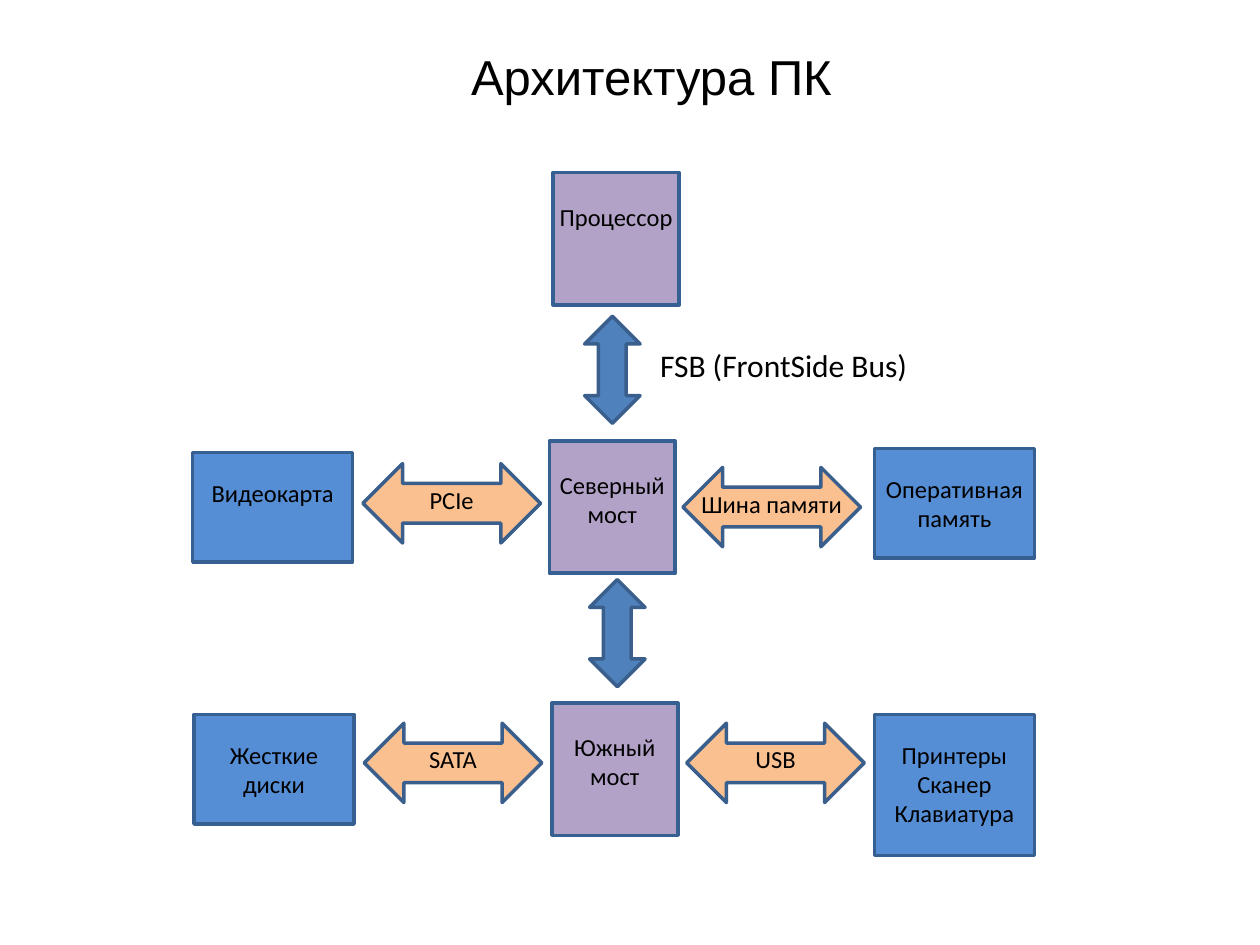
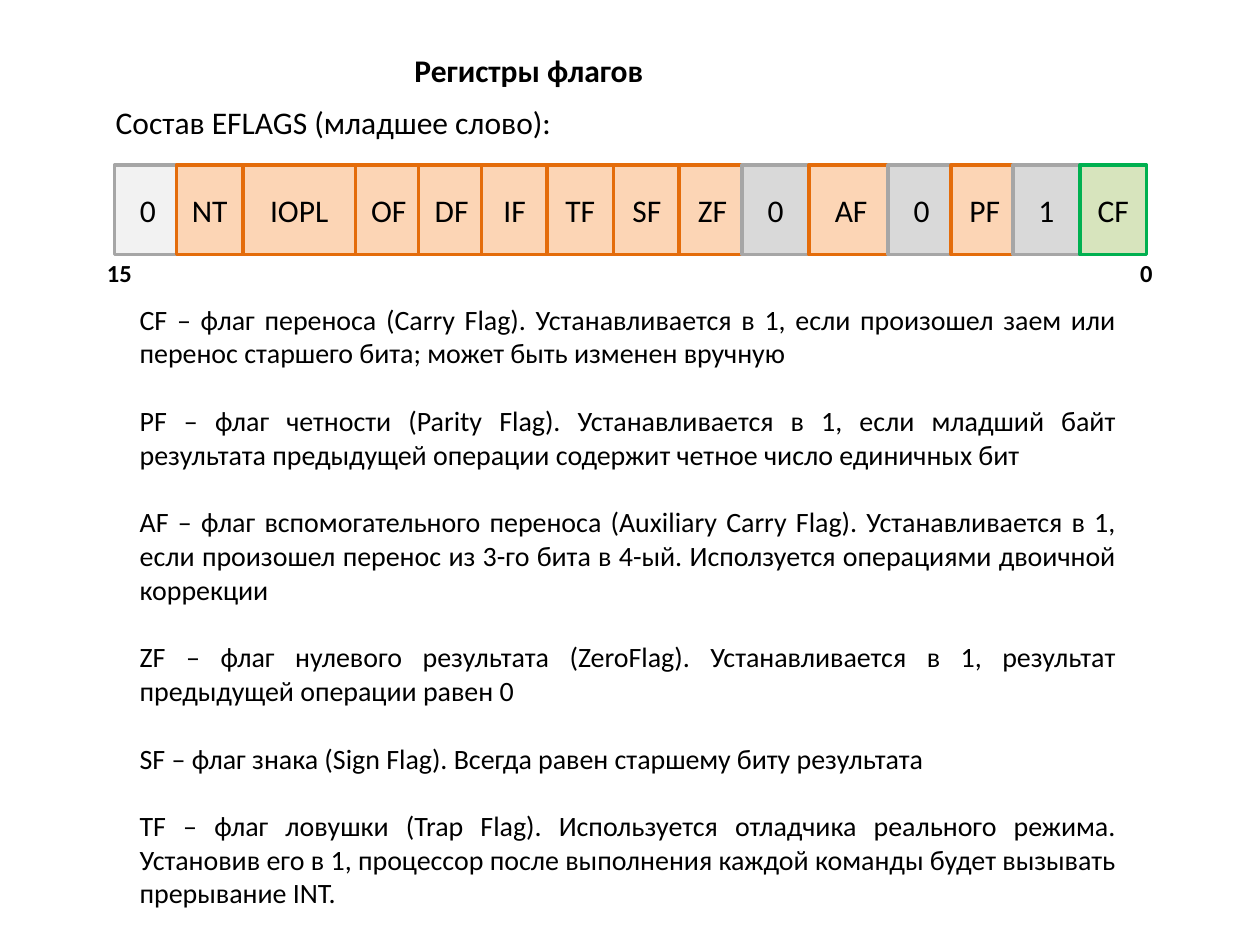
"""Build two slides: the PC architecture diagram and the flag register."""
from pptx import Presentation
from pptx.dml.color import RGBColor
from pptx.enum.shapes import MSO_SHAPE
from pptx.enum.text import MSO_ANCHOR, PP_ALIGN
from pptx.util import Inches, Pt

BLACK = RGBColor(0x00, 0x00, 0x00)
PURPLE = RGBColor(0xB3, 0xA2, 0xC7)
BLUE = RGBColor(0x55, 0x8E, 0xD5)
STEEL = RGBColor(0x4F, 0x81, 0xBD)
BLOCK_LINE = RGBColor(0x37, 0x60, 0x92)
ARROW_LINE = RGBColor(0x3A, 0x5F, 0x8C)
ORANGE = RGBColor(0xFA, 0xC0, 0x90)
PEACH = RGBColor(0xFC, 0xD5, 0xB5)
DARK_ORANGE = RGBColor(0xE4, 0x6C, 0x0A)
PALE_GRAY = RGBColor(0xF2, 0xF2, 0xF2)
LIGHT_GRAY = RGBColor(0xD9, 0xD9, 0xD9)
GRAY = RGBColor(0xA6, 0xA6, 0xA6)
LIGHT_GREEN = RGBColor(0xD7, 0xE4, 0xBD)
GREEN = RGBColor(0x00, 0xB0, 0x50)

BRIDGE_SIZE = (1, 1.05)
DEVICE_SIZE = (1.27, 0.87)
BUS_SIZE = (1.41, 0.63)
LINK_SIZE = (0.44, 0.85)

BRIDGES = [
    (["Процессор"], 4.39, 1.37),
    (["Северный", "мост"], 4.36, 3.5),
    (["Южный", "мост"], 4.38, 5.58),
]
DEVICES = [
    (["Видеокарта"], 1.53, 3.59, DEVICE_SIZE),
    (["Оперативная", "память"], 6.94, 3.56, DEVICE_SIZE),
    (["Жесткие", "диски"], 1.54, 5.67, DEVICE_SIZE),
    (["Принтеры", "Сканер", "Клавиатура"], 6.94, 5.67, (1.27, 1.12)),
]
BUSES = [
    ("PCIe", 2.88, 3.68),
    ("Шина памяти", 5.42, 3.71),
    ("SATA", 2.89, 5.74),
    ("USB", 5.45, 5.74),
]
BRIDGE_LINKS = [(4.64, 2.51), (4.68, 4.6)]

FLAG_STYLE = (PEACH, DARK_ORANGE)
RESERVED_STYLE = (LIGHT_GRAY, GRAY)
TOP_BIT_STYLE = (PALE_GRAY, GRAY)
CARRY_STYLE = (LIGHT_GREEN, GREEN)
BIT_TOP, BIT_WIDTH, BIT_HEIGHT = 1.31, 0.53, 0.71
BITS = [
    ("0", 0.91, BIT_WIDTH, TOP_BIT_STYLE),
    ("NT", 1.4, BIT_WIDTH, FLAG_STYLE),
    ("IOPL", 1.93, 0.89, FLAG_STYLE),
    ("OF", 2.82, BIT_WIDTH, FLAG_STYLE),
    ("DF", 3.32, BIT_WIDTH, FLAG_STYLE),
    ("IF", 3.82, BIT_WIDTH, FLAG_STYLE),
    ("TF", 4.34, BIT_WIDTH, FLAG_STYLE),
    ("SF", 4.87, BIT_WIDTH, FLAG_STYLE),
    ("ZF", 5.39, BIT_WIDTH, FLAG_STYLE),
    ("0", 5.89, BIT_WIDTH, RESERVED_STYLE),
    ("AF", 6.42, 0.67, FLAG_STYLE),
    ("0", 7.05, BIT_WIDTH, RESERVED_STYLE),
    ("PF", 7.55, BIT_WIDTH, FLAG_STYLE),
    ("1", 8.04, BIT_WIDTH, RESERVED_STYLE),
    ("CF", 8.57, BIT_WIDTH, CARRY_STYLE),
]
BIT_NUMBERS = [("15", 0.75, 0.4), ("0", 8.95, 0.3)]
FLAG_NOTES = [
    "CF – флаг переноса (Carry Flag). Устанавливается в 1, если произошел заем "
    "или перенос старшего бита; может быть изменен вручную",
    "PF – флаг четности (Parity Flag). Устанавливается в 1, если младший байт "
    "результата предыдущей операции содержит четное число единичных бит",
    "AF – флаг вспомогательного переноса (Auxiliary Carry Flag). Устанавливается "
    "в 1, если произошел перенос из 3-го бита в 4-ый. Исползуется операциями "
    "двоичной коррекции",
    "ZF – флаг нулевого результата (ZeroFlag). Устанавливается в 1, результат "
    "предыдущей операции равен 0",
    "SF – флаг знака (Sign Flag). Всегда равен старшему биту результата",
    "TF – флаг ловушки (Trap Flag). Используется отладчика реального режима. "
    "Установив его в 1, процессор после выполнения каждой команды будет вызывать "
    "прерывание INT.",
]


def write_text(shape, lines, size=18, font="Calibri", bold=False,
               align=PP_ALIGN.LEFT, anchor=MSO_ANCHOR.TOP, wrap=False,
               insets=(0.1, 0.05, 0.1, 0.05), gap=0):
    """Fill a shape with one paragraph per line."""
    frame = shape.text_frame
    frame.word_wrap = wrap
    frame.vertical_anchor = anchor
    (frame.margin_left, frame.margin_top,
     frame.margin_right, frame.margin_bottom) = map(Inches, insets)
    for index, line in enumerate(lines):
        paragraph = frame.add_paragraph() if index else frame.paragraphs[0]
        paragraph.alignment = align
        paragraph.space_before = Pt(gap if index else 0)
        run = paragraph.add_run()
        run.text = line
        run.font.size = Pt(size)
        run.font.name = font
        run.font.bold = bold
        run.font.color.rgb = BLACK


def add_label(slide, lines, left, top, width, height, **text_format):
    """Add a text box."""
    box = slide.shapes.add_textbox(*map(Inches, (left, top, width, height)))
    write_text(box, lines, **text_format)


def add_block(slide, kind, left, top, extent, fill, line, lines=(), **text_format):
    """Add an outlined preset shape with centred text."""
    shape = slide.shapes.add_shape(kind, *map(Inches, (left, top, *extent)))
    shape.shadow.inherit = False
    shape.fill.solid()
    shape.fill.fore_color.rgb = fill
    shape.line.color.rgb = line
    shape.line.width = Pt(2)
    write_text(shape, lines, align=PP_ALIGN.CENTER, **text_format)


def build_architecture(slide):
    """Draw the processor, bridges, devices and the buses between them."""
    add_label(slide, ["Архитектура ПК"], 0.35, 0.02, 9.64, 1.17, size=28,
              font="Arial", align=PP_ALIGN.CENTER, anchor=MSO_ANCHOR.MIDDLE,
              wrap=True, insets=(0, 0, 0, 0))
    for lines, left, top in BRIDGES:
        add_block(slide, MSO_SHAPE.RECTANGLE, left, top, BRIDGE_SIZE, PURPLE,
                  BLOCK_LINE, lines, size=14, insets=(0, 0.23, 0, 0))
    for lines, left, top, extent in DEVICES:
        add_block(slide, MSO_SHAPE.RECTANGLE, left, top, extent, BLUE,
                  BLOCK_LINE, lines, size=14, insets=(0, 0.2, 0, 0))
    for name, left, top in BUSES:
        add_block(slide, MSO_SHAPE.LEFT_RIGHT_ARROW, left, top, BUS_SIZE, ORANGE,
                  ARROW_LINE, [name], size=14, anchor=MSO_ANCHOR.MIDDLE,
                  insets=(0, 0, 0, 0.06))
    for left, top in BRIDGE_LINKS:
        add_block(slide, MSO_SHAPE.UP_DOWN_ARROW, left, top, LINK_SIZE, STEEL,
                  ARROW_LINE)
    add_label(slide, ["FSB (FrontSide Bus)"], 5.14, 2.7, 2.19, 0.4)


def build_flags(slide):
    """Draw the low word of EFLAGS and explain its flags."""
    add_label(slide, ["Регистры флагов"], 3.19, 0.36, 2.04, 0.4, bold=True)
    add_label(slide, ["Состав EFLAGS (младшее слово):"], 0.82, 0.77, 3.71, 0.4)
    for name, left, width, (fill, line) in BITS:
        add_block(slide, MSO_SHAPE.RECTANGLE, left, BIT_TOP, (width, BIT_HEIGHT),
                  fill, line, [name], anchor=MSO_ANCHOR.MIDDLE,
                  insets=(0, 0, 0, 0))
    for number, left, width in BIT_NUMBERS:
        add_label(slide, [number], left, 2, width, 0.34, size=14, bold=True)
    add_label(slide, FLAG_NOTES, 1.01, 2.35, 7.95, 4.95, size=16,
              align=PP_ALIGN.JUSTIFY, wrap=True, gap=19.5)


def main():
    """Create and save the presentation."""
    presentation = Presentation()
    presentation.slide_width = Inches(10)
    presentation.slide_height = Inches(7.5)
    for build in (build_architecture, build_flags):
        build(presentation.slides.add_slide(presentation.slide_layouts[6]))
    presentation.save("out.pptx")


if __name__ == "__main__":
    main()
